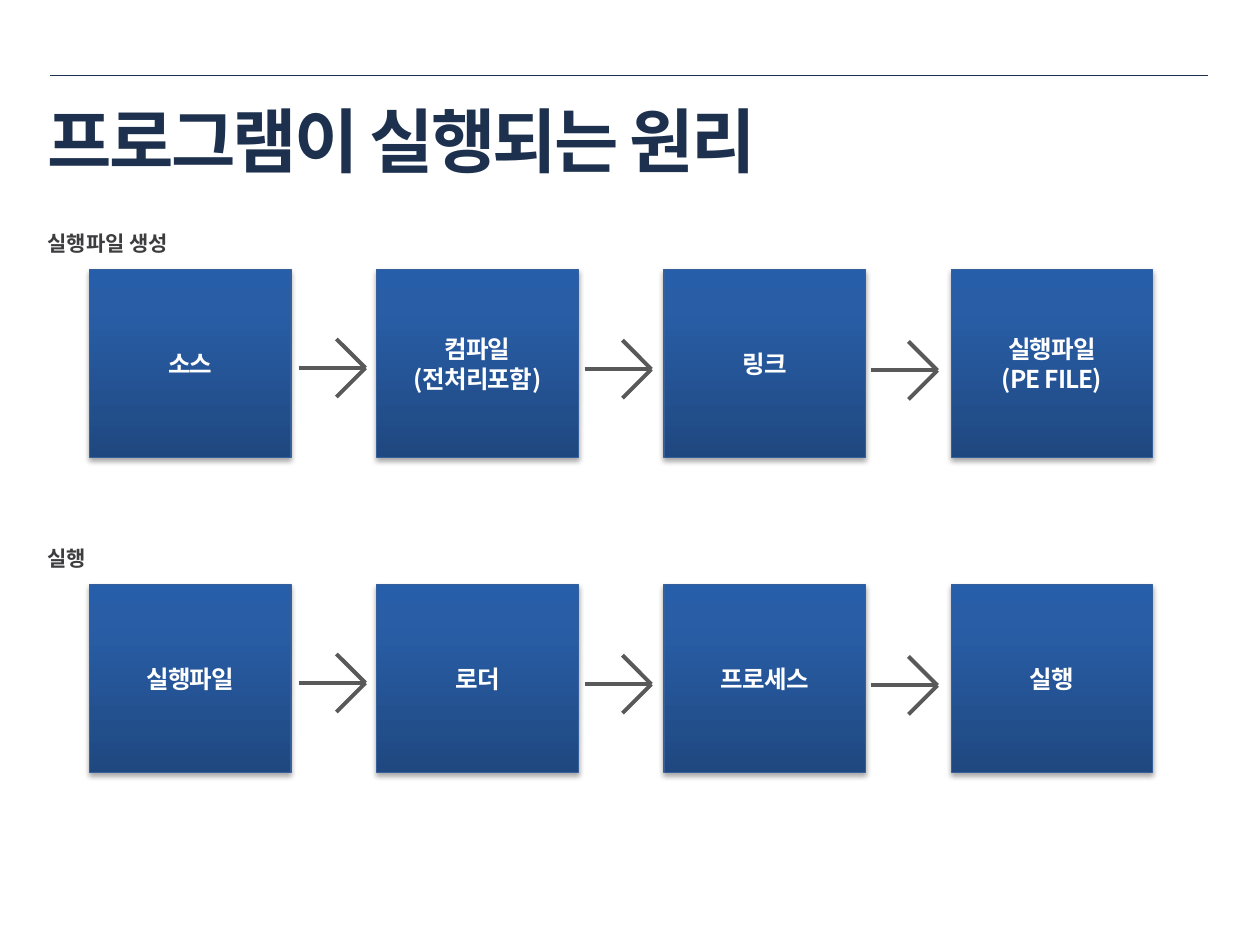
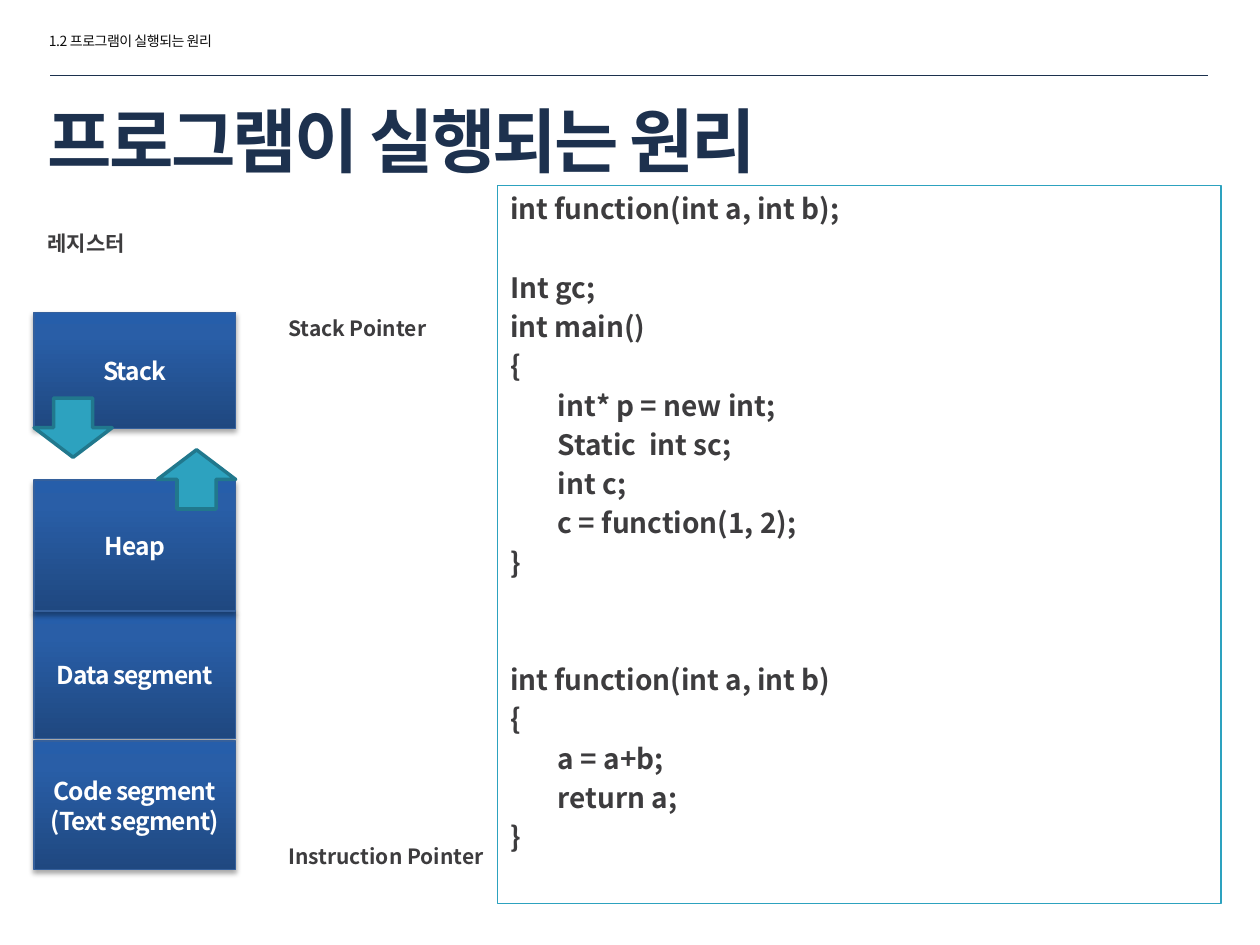
from lxml.etree import SubElement
from pptx import Presentation
from pptx.dml.color import RGBColor
from pptx.enum.shapes import MSO_CONNECTOR, MSO_SHAPE
from pptx.enum.text import MSO_ANCHOR, PP_ALIGN
from pptx.oxml import parse_xml
from pptx.oxml.ns import nsdecls, qn
from pptx.util import Inches, Pt

NAVY = RGBColor(0x1D, 0x31, 0x4E)
RULE = RGBColor(0x1C, 0x31, 0x4E)
GRAY = RGBColor(0x3D, 0x3C, 0x3E)
INK = RGBColor(0x0D, 0x0D, 0x0D)
WHITE = RGBColor(0xFF, 0xFF, 0xFF)
EDGE = RGBColor(0x35, 0x60, 0x9C)
STEEL = RGBColor(0x59, 0x59, 0x59)
TEAL = RGBColor(0x2D, 0xA2, 0xBF)
DEEP = RGBColor(0x21, 0x78, 0x8D)
FADE = ((0, RGBColor(0x1F, 0x48, 0x80)), (80, RGBColor(0x29, 0x5E, 0xA7)),
        (100, RGBColor(0x26, 0x5E, 0xAA)))

FACE = "Noto Sans CJK KR"
LEAD = 1.22
TITLE = {"size": Pt(40), "bold": True, "color": NAVY, "track": -150}
LABEL = {"size": Pt(12), "bold": True, "color": GRAY, "track": 0}
BLOCK = {"size": Pt(14), "bold": True, "color": WHITE, "track": -50}
CODE = {"size": Pt(16), "bold": True, "color": GRAY, "track": 0}
HEAD = {"size": Pt(8), "bold": False, "color": INK, "track": -30}

TOPIC = "프로그램이 실행되는 원리"
FLOWS = (
    (1.78, "실행파일 생성",
     ("소스", "컴파일\n(전처리포함)", "링크", "실행파일\n(PE FILE)")),
    (4.28, "실행", ("실행파일", "로더", "프로세스", "실행")),
)
AREAS = (
    (4.85, 1.01, "Data segment"),
    (2.48, 0.92, "Stack"),
    (5.88, 1.02, "Code segment\n(Text segment)"),
    (3.81, 1.04, "Heap"),
)
LINES = (
    (0, 0, "int function(int a, int b);"),
    (1, 0, "Int gc;"),
    (0, 0, "int main()"),
    (0, 0, "{"),
    (0, 1, "int* p = new int;"),
    (0, 1, "Static  int sc;"),
    (0, 1, "int c;"),
    (0, 1, "c = function(1, 2);"),
    (0, 0, "}"),
    (2, 0, "int function(int a, int b)"),
    (0, 0, "{"),
    (0, 1, "a = a+b;"),
    (0, 1, "return a;"),
    (0, 0, "}"),
)


def add_para(para, text, style, align=PP_ALIGN.LEFT):
    para.alignment = align
    para.line_spacing = Pt(style["size"].pt * LEAD)
    run = para.add_run()
    run.text = text
    font = run.font
    font.name = FACE
    for name, value in style.items():
        if name == "color":
            font.color.rgb = value
        elif name != "track":
            setattr(font, name, value)
    props = run._r.get_or_add_rPr()
    props.set("spc", str(style["track"]))
    SubElement(props, qn("a:ea")).set("typeface", FACE)


def fill_text(frame, text, style, anchor=MSO_ANCHOR.TOP, align=PP_ALIGN.LEFT):
    frame.word_wrap = True
    frame.vertical_anchor = anchor
    for i, line in enumerate(text.split("\n")):
        para = frame.add_paragraph() if i else frame.paragraphs[0]
        add_para(para, line, style, align)


def add_text(slide, box, text, style, anchor=MSO_ANCHOR.TOP):
    frame = slide.shapes.add_textbox(*map(Inches, box)).text_frame
    fill_text(frame, text, style, anchor)


def add_line(slide, start, end, color, width):
    line = slide.shapes.add_connector(
        MSO_CONNECTOR.STRAIGHT, *map(Inches, (*start, *end)))
    line.line.color.rgb = color
    line.line.width = Pt(width)
    SubElement(line._element.spPr, qn("a:effectLst"))


def add_shape(slide, kind, box, color, width):
    shape = slide.shapes.add_shape(kind, *map(Inches, box))
    shape.shadow.inherit = False
    shape.line.color.rgb = color
    shape.line.width = Pt(width)
    return shape


def add_block(slide, box, text):
    shape = add_shape(slide, MSO_SHAPE.RECTANGLE, box, EDGE, 0.75)
    props = shape._element.spPr
    stops = "".join(f'<a:gs pos="{pos * 1000}"><a:srgbClr val="{color}"/></a:gs>'
                    for pos, color in FADE)
    props.insert(2, parse_xml(
        f'<a:gradFill {nsdecls("a")} rotWithShape="1"><a:gsLst>{stops}</a:gsLst>'
        '<a:lin ang="16200000" scaled="0"/></a:gradFill>'))
    props.find(qn("a:effectLst")).append(parse_xml(
        f'<a:outerShdw {nsdecls("a")} blurRad="{Pt(3.1)}" dist="{Pt(1.8)}" '
        'dir="5400000" rotWithShape="0"><a:srgbClr val="000000">'
        '<a:alpha val="35000"/></a:srgbClr></a:outerShdw>'))
    fill_text(shape.text_frame, text, BLOCK, MSO_ANCHOR.MIDDLE, PP_ALIGN.CENTER)


def add_arrow(slide, x, y):
    for dx, dy in ((0.23, -0.23), (0.23, 0.23), (0.53, 0)):
        add_line(slide, (x - dx, y + dy), (x, y), STEEL, 2.25)


def add_flow(slide, top, label, steps):
    add_text(slide, (0.28, top, 2.23, 0.95), label, LABEL)
    for i, step in enumerate(steps):
        add_block(slide, (0.71 + 2.28 * i, top + 0.36, 1.6, 1.49), step)
    for i in range(len(steps) - 1):
        add_arrow(slide, 2.9 + 2.27 * i, top + 1.14 + 0.01 * i)


def add_code(slide):
    shape = add_shape(slide, MSO_SHAPE.RECTANGLE, (3.95, 1.47, 5.74, 5.7), TEAL, 0.75)
    shape.fill.background()
    frame = shape.text_frame
    frame.word_wrap = True
    frame.vertical_anchor = MSO_ANCHOR.TOP
    for i, (gap, level, text) in enumerate(LINES):
        para = frame.add_paragraph() if i else frame.paragraphs[0]
        add_para(para, text, CODE)
        para.space_before = Pt(2.9 + 22.4 * gap)
        para._p.get_or_add_pPr().set("marL", str(Inches(0.38 * level)))


def add_page(deck):
    slide = deck.slides.add_slide(deck.slide_layouts[6])
    add_line(slide, (0.4, 0.6), (9.59, 0.6), RULE, 0.25)
    add_text(slide, (0.28, 0.6, 9.16, 1), TOPIC, TITLE, MSO_ANCHOR.MIDDLE)
    return slide


def add_steps(deck):
    slide = add_page(deck)
    for flow in FLOWS:
        add_flow(slide, *flow)


def add_memory(deck):
    slide = add_page(deck)
    add_text(slide, (0.29, 0.21, 1.73, 0.24), f"1.2 {TOPIC}", HEAD)
    add_text(slide, (0.28, 1.78, 2.23, 0.95), "레지스터", LABEL)
    for top, height, name in AREAS:
        add_block(slide, (0.27, top, 1.6, height), name)
    for kind, x, y in ((MSO_SHAPE.DOWN_ARROW, 0.27, 3.16),
                       (MSO_SHAPE.UP_ARROW, 1.25, 3.57)):
        arrow = add_shape(slide, kind, (x, y, 0.62, 0.47), DEEP, 2)
        arrow.fill.solid()
        arrow.fill.fore_color.rgb = TEAL
    for top, name in ((2.45, "Stack Pointer"), (6.64, "Instruction Pointer")):
        add_text(slide, (2.19, top, 2.23, 0.49), name, LABEL)
    add_code(slide)


def main():
    deck = Presentation()
    deck.slide_width = Inches(10)
    deck.slide_height = Inches(7.5)
    add_steps(deck)
    add_memory(deck)
    deck.save("out.pptx")


if __name__ == "__main__":
    main()
